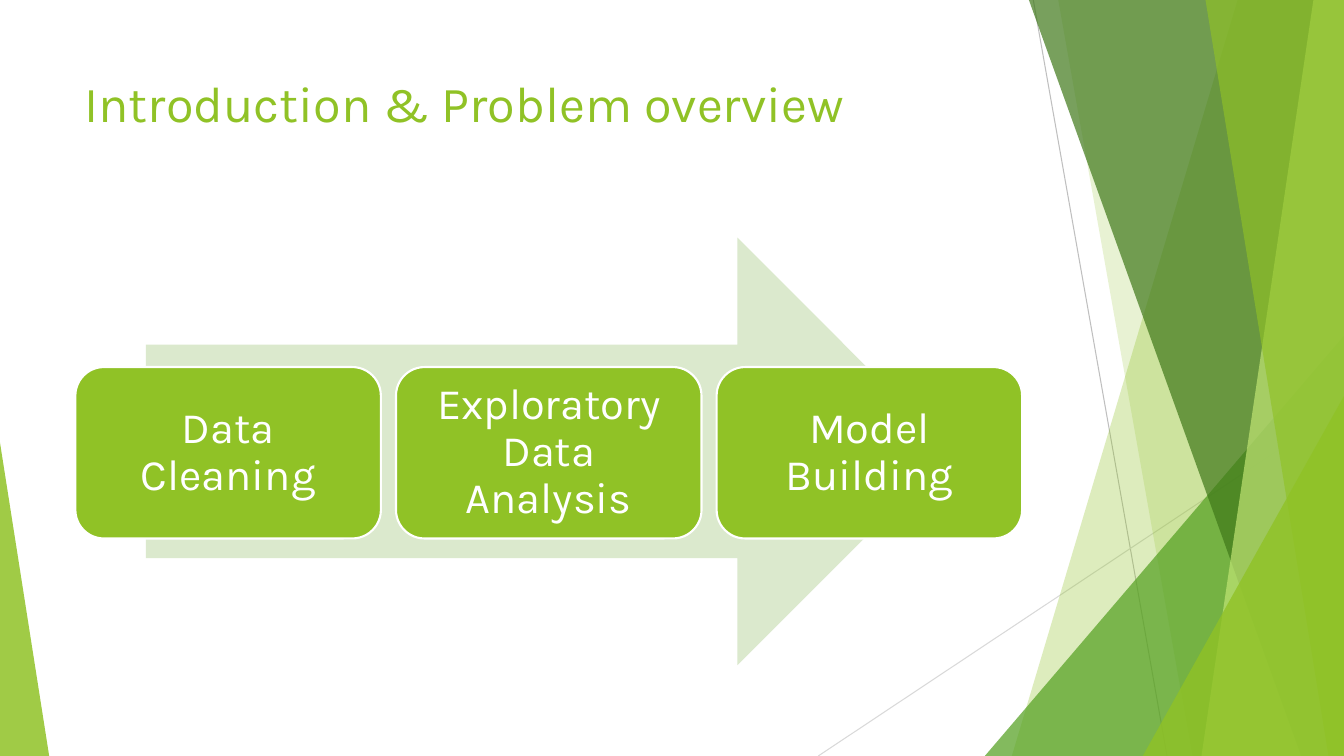
from lxml.etree import SubElement
from pptx import Presentation
from pptx.dml.color import RGBColor
from pptx.enum.shapes import MSO_CONNECTOR, MSO_SHAPE
from pptx.enum.text import MSO_ANCHOR, PP_ALIGN
from pptx.oxml.ns import qn
from pptx.util import Cm, Pt

WIDE, HIGH = 33.87, 19.05
FONT = "Karla"
LIME, LEAF, MOSS, PALE = "90C226", "54A021", "3F7819", "C0E474"
WHITE, MINT = "FFFFFF", "DBE9CD"
STEPS = ["Data Cleaning", "Exploratory Data Analysis", "Model Building"]


def rgb(code):
    """Turn a hex string into a colour."""
    return RGBColor.from_string(code)


def paint(shape, code, alpha=100):
    """Give a shape a flat fill of some opacity, no line and no shadow."""
    shape.shadow.inherit = False
    shape.fill.solid()
    shape.fill.fore_color.rgb = rgb(code)
    shape.line.fill.background()
    if alpha < 100:
        tint = shape.fill._xPr.find(qn("a:solidFill"))[0]
        SubElement(tint, qn("a:alpha"), val=str(alpha * 1000))


def add_line(slide, start, end, code):
    """Draw a thin line between two points."""
    ends = [Cm(v) for v in (*start, *end)]
    line = slide.shapes.add_connector(MSO_CONNECTOR.STRAIGHT, *ends)
    line.line.color.rgb = rgb(code)
    line.line.width = Pt(0.75)
    SubElement(line._element.spPr, qn("a:effectLst"))


def add_band(slide, top, bottom, code, alpha):
    """Draw a full-height band from a slanted left edge to the slide's right."""
    form = slide.shapes.build_freeform(Cm(top), Cm(0))
    rest = [(WIDE, 0), (WIDE, HIGH), (bottom, HIGH)]
    form.add_line_segments([(Cm(x), Cm(y)) for x, y in rest])
    paint(form.convert_to_shape(), code, alpha)


def add_shape(slide, kind, box, code, alpha=100):
    """Add a flat preset shape in a left, top, width, height box."""
    shape = slide.shapes.add_shape(kind, *[Cm(v) for v in box])
    paint(shape, code, alpha)
    return shape


def add_wedge(slide, left, top, width, tip, code, alpha):
    """Add a triangle that stands on the slide's bottom edge."""
    box = (left, top, width, HIGH - top)
    wedge = add_shape(slide, MSO_SHAPE.ISOSCELES_TRIANGLE, box, code, alpha)
    wedge.adjustments[0] = tip


def write(frame, text, size, code):
    """Put one wrapped paragraph in a frame and return it."""
    frame.word_wrap = True
    para = frame.paragraphs[0]
    para.text = text
    para.font.name = FONT
    para.font.size = Pt(size)
    para.font.color.rgb = rgb(code)
    return para


def add_title(slide, text):
    """Add the slide's heading."""
    box = [Cm(v) for v in (1.88, 1.7, 23.88, 3.66)]
    para = write(slide.shapes.add_textbox(*box).text_frame, text, 36, LIME)
    para.alignment = PP_ALIGN.LEFT


def add_step(slide, left, text):
    """Add one rounded step of the process."""
    box = (left, 9.25, 7.7, 4.32)
    step = add_shape(slide, MSO_SHAPE.ROUNDED_RECTANGLE, box, LIME)
    step.line.color.rgb = rgb(WHITE)
    step.line.width = Pt(1.5)
    frame = step.text_frame
    frame.vertical_anchor = MSO_ANCHOR.MIDDLE
    frame.margin_left = frame.margin_right = Cm(0.33)
    frame.margin_top = frame.margin_bottom = Cm(0.33)
    para = write(frame, text, 31, WHITE)
    para.alignment = PP_ALIGN.CENTER
    para.line_spacing = 0.9


def add_decor(slide):
    """Draw the green shards at both sides."""
    add_line(slide, (26.04, 0), (29.41, HIGH), "BFBFBF")
    add_line(slide, (WIDE, 10.24), (20.62, HIGH), "D9D9D9")
    add_band(slide, 31.19, 25.5, LIME, 30)
    add_band(slide, 26.67, 30.05, LIME, 20)
    add_wedge(slide, 24.82, 8.46, 9.05, 1, LEAF, 72)
    add_band(slide, 25.93, 32.79, MOSS, 70)
    add_band(slide, 33.1, 30.28, PALE, 70)
    add_band(slide, 30.38, 33.48, LIME, 65)
    add_wedge(slide, 28.8, 9.98, 5.07, 1, LIME, 80)
    add_wedge(slide, 0, 11.15, 1.24, 0, LIME, 85)


def main():
    """Build the slide and save it."""
    deck = Presentation()
    deck.slide_width, deck.slide_height = Cm(WIDE), Cm(HIGH)
    slide = deck.slides.add_slide(deck.slide_layouts[6])
    add_decor(slide)
    add_title(slide, "Introduction & Problem overview")
    add_shape(slide, MSO_SHAPE.RIGHT_ARROW, (3.68, 5.99, 20.29, 10.77), MINT)
    for i, text in enumerate(STEPS):
        add_step(slide, 1.9 + 8.08 * i, text)
    deck.save("out.pptx")


if __name__ == "__main__":
    main()
